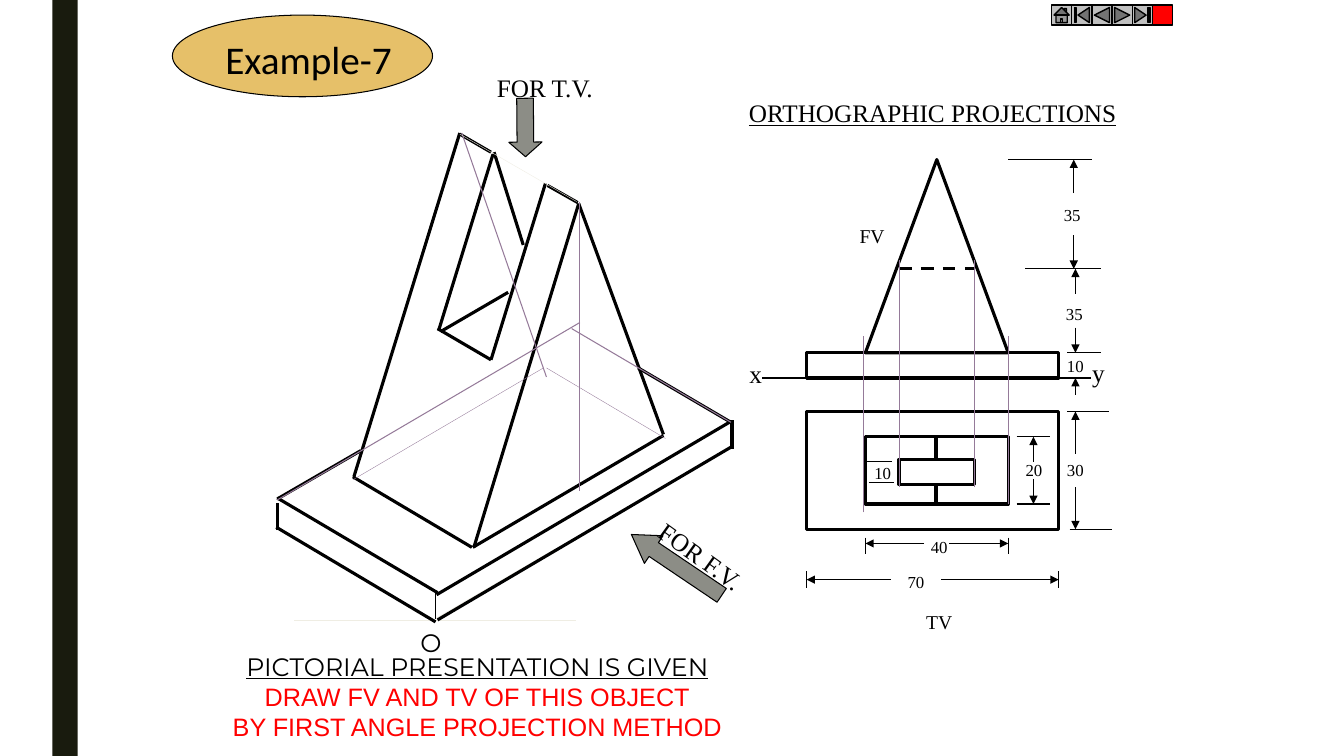
from lxml import etree
from pptx import Presentation
from pptx.dml.color import RGBColor
from pptx.enum.dml import MSO_LINE
from pptx.enum.shapes import MSO_CONNECTOR, MSO_SHAPE
from pptx.enum.text import MSO_ANCHOR, MSO_AUTO_SIZE, PP_ALIGN
from pptx.oxml.ns import qn
from pptx.util import Inches, Pt

RECT, OVAL = MSO_SHAPE.RECTANGLE, MSO_SHAPE.OVAL
PEAK, ARROW = MSO_SHAPE.ISOSCELES_TRIANGLE, MSO_SHAPE.LEFT_ARROW
NAV = [
    MSO_SHAPE.ACTION_BUTTON_HOME,
    MSO_SHAPE.ACTION_BUTTON_BEGINNING,
    MSO_SHAPE.ACTION_BUTTON_BACK_OR_PREVIOUS,
    MSO_SHAPE.ACTION_BUTTON_FORWARD_OR_NEXT,
    MSO_SHAPE.ACTION_BUTTON_END,
    MSO_SHAPE.ACTION_BUTTON_CUSTOM,
]
LEFT, MID = PP_ALIGN.LEFT, PP_ALIGN.CENTER
STRAIGHT, DASH = MSO_CONNECTOR.STRAIGHT, MSO_LINE.DASH
SERIF, SANS = "Times New Roman", "Montserrat"
BLACK, WHITE, RED, GREY = "000000", "FFFFFF", "FF0000", "8C8D86"
MAUVE, PALE = "957A99", "EFEDE3"
CELL = 1 / 12  # grid of the two views, in inches
FINE = 0.01    # grid of the pictorial view, in inches
BOLD, THIN, HAIR = 2.25, 0.75, 0.25


def color(hex_):
    return RGBColor.from_string(hex_)


def shape(slide, kind, box, fill, edge=THIN, cell=1, turn=0):
    item = slide.shapes.add_shape(kind, *(Inches(v * cell) for v in box))
    item.shadow.inherit = False
    item.fill.solid()
    item.fill.fore_color.rgb = color(fill)
    if edge:
        item.line.color.rgb = color(BLACK)
        item.line.width = Pt(edge)
    else:
        item.line.fill.background()
    item.rotation = turn
    return item


def line(slide, ends, width=THIN, hue=BLACK, cell=CELL, head=False, dash=None):
    item = slide.shapes.add_connector(STRAIGHT, *(Inches(v * cell) for v in ends))
    item.line.color.rgb = color(hue)
    item.line.width = Pt(width)
    if dash:
        item.line.dash_style = dash
    props = item._element.spPr
    if head:
        etree.SubElement(props.find(qn("a:ln")), qn("a:tailEnd"), type="triangle")
    etree.SubElement(props, qn("a:effectLst"))


def style(para, size, font, hue=BLACK, align=MID, under=False):
    para.alignment = align
    para.font.size = Pt(size)
    para.font.name = font
    para.font.color.rgb = color(hue)
    para.font.underline = under


def label(slide, text, box, size=18, font=SERIF, align=MID, under=False, turn=0):
    item = slide.shapes.add_textbox(*(Inches(v) for v in box))
    item.rotation = turn
    item.text_frame.word_wrap = False
    item.text_frame.text = text
    style(item.text_frame.paragraphs[0], size, font, align=align, under=under)
    return item.text_frame


def gauge(slide, at, low, gap, end, high, flat=False):
    """Two arrows that point outwards from the gap left for the number."""
    for start, stop in ((end, high), (gap, low)):
        ends = (start, at, stop, at) if flat else (at, start, at, stop)
        line(slide, ends, head=True)


def heading(slide):
    oval = shape(slide, OVAL, (1.71, 0.15, 2.58, 0.81), "E6C069")
    title = slide.shapes.title
    title.left, title.top, title.width, title.height = (
        Inches(v) for v in (2.07, 0.3, 1.98, 0.57))
    frame = title.text_frame
    frame.text = "Example-7"
    frame.word_wrap = False
    frame.auto_size = MSO_AUTO_SIZE.NONE
    frame.vertical_anchor = MSO_ANCHOR.MIDDLE
    style(frame.paragraphs[0], 28, "Calibri")
    oval._element.addnext(title._element)  # bring the title in front


def front(slide):
    shape(slide, RECT, (96, 42, 30, 3), WHITE, BOLD, CELL)
    shape(slide, PEAK, (103, 19, 17, 23), WHITE, BOLD, CELL)
    line(slide, (107, 32, 116, 32), BOLD, dash=DASH)
    for ends in ((90.7, 45, 129.8, 45), (120, 19, 130, 19),
                 (122, 32, 131, 32), (127, 42, 131, 42)):
        line(slide, ends)
    gauge(slide, 127.8, 19, 23, 28, 32)
    gauge(slide, 128, 32, 35, 39, 42)
    line(slide, (128, 47, 128, 45), head=True)
    label(slide, "x", (7.33, 3.51, 0.33, 0.4))
    label(slide, "y", (10.73, 3.5, 0.33, 0.4))
    label(slide, "FV", (8.42, 2.17, 0.46, 0.33), 14)
    for text, x, y in (("35", 10.45, 1.98), ("35", 10.47, 2.96), ("10", 10.48, 3.48)):
        label(slide, text, (x, y, 0.37, 0.3), 12)


def plan(slide):
    shape(slide, RECT, (96, 49, 30, 14), WHITE, BOLD, CELL)
    shape(slide, RECT, (103, 52, 17, 8), WHITE, BOLD, CELL)
    line(slide, (111.4, 52, 111.4, 60), BOLD)
    shape(slide, RECT, (107, 54.7, 9, 3), WHITE, BOLD, CELL)
    # Extension lines
    for x, y, wide in ((127, 49, 5), (127.3, 63, 5), (121, 52, 4),
                       (121, 60, 4), (103.2, 55, 3), (103.4, 57.5, 3)):
        line(slide, (x, y, x + wide, y))
    for x, y in ((120, 64), (103, 64), (96, 68), (126, 68)):
        line(slide, (x, y, x, y + 2))
    # Dimensions
    gauge(slide, 128, 49, 54, 58, 63)
    gauge(slide, 123, 52, 55, 57, 60)
    gauge(slide, 64.7, 103, 110, 113, 120, flat=True)
    gauge(slide, 69, 96, 106, 112, 126, flat=True)
    label(slide, "TV", (9.08, 6, 0.47, 0.33), 14)
    for text, x, y in (("30", 10.48, 4.51), ("20", 10.07, 4.51), ("10", 8.57, 4.54),
                       ("40", 9.13, 5.28), ("70", 8.9, 5.62)):
        label(slide, text, (x, y, 0.37, 0.3), 12)


def solid(slide):
    guides = [(430, 615, 550, 545), (430, 615, 317, 549), (292, 615, 571, 615)]
    base = [
        (726, 443, 434, 615), (275, 526, 275, 499), (358, 447, 275, 495),
        (725, 418, 433, 590), (275, 494, 434, 588), (633, 365, 725, 419),
        (274, 523, 432, 617), (726, 445, 726, 417),
    ]
    wedge = [
        (470, 543, 574, 202), (658, 431, 574, 202), (350, 473, 468, 543),
        (351, 473, 456, 132), (456, 133, 487, 151), (543, 184, 573, 201),
        (658, 432, 469, 543),
    ]
    slot = [
        (435, 328, 489, 153), (487, 357, 541, 182), (434, 326, 487, 357),
        (504, 290, 437, 329), (519, 243, 490, 151),
    ]
    hidden = [(542, 374, 458, 132), (575, 320, 275, 496), (567, 326, 725, 419)]
    faint = [(574, 200, 574, 487), (539, 365, 350, 476), (542, 365, 660, 435)]
    for group, width, hue in (
        (guides, 0.5, PALE),
        (base + wedge + slot, BOLD, BLACK),
        ([(432, 614, 432, 586)], THIN, BLACK),
        (hidden, THIN, MAUVE),
        (faint, HAIR, MAUVE),
        ([(456, 133, 572, 200)], HAIR, PALE),
    ):
        for ends in group:
            line(slide, ends, width, hue, FINE)
    label(slide, "O", (4.07, 6.17, 0.41, 0.4), font=SANS)


def rays(slide):
    for x, low, high in ((120, 60, 40), (102.8, 61, 40), (107, 58, 31), (116, 58, 31)):
        line(slide, (x, low, x, high), THIN, MAUVE)


def sights(slide):
    for text, box, turn, tip, place, tilt in (
        ("FOR T.V.", (4.92, 1.1, 0.58, 0.33), 269.5, 0.44, (4.83, 0.67, 1.16, 0.4), 0),
        ("FOR F.V.", (6.17, 5.44, 1.08, 0.33), 34, 0.81, (6.38, 5.32, 1.15, 0.4), 35.6),
    ):
        arrow = shape(slide, ARROW, box, GREY, turn=turn)
        arrow.adjustments[1] = tip
        label(slide, text, place, align=LEFT, turn=tilt)


def notes(slide):
    frame = label(slide, "PICTORIAL PRESENTATION IS GIVEN", (2.07, 6.41, 5.33, 1),
                  font=SANS, under=True)
    for text in ("DRAW FV AND TV OF THIS OBJECT", "BY FIRST ANGLE PROJECTION METHOD"):
        para = frame.add_paragraph()
        para.text = text
        style(para, 18, "Arial", RED)
    label(slide, "ORTHOGRAPHIC PROJECTIONS", (7.33, 0.92, 3.88, 0.4),
          align=LEFT, under=True)


def buttons(slide):
    side = 0.2
    for i, kind in enumerate(NAV):
        fill = RED if kind == NAV[-1] else "C0C0C0"
        shape(slide, kind, (10.43 + i * side, 0.05, side, side), fill, 1)


def main():
    deck = Presentation()
    deck.slide_width, deck.slide_height = Inches(13.33), Inches(7.5)
    slide = deck.slides.add_slide(deck.slide_layouts[5])
    shape(slide, RECT, (0.52, 0, 0.25, 7.5), "191B0E", 0)
    for part in (heading, front, plan, solid, rays, sights, notes, buttons):
        part(slide)
    deck.save("out.pptx")


if __name__ == "__main__":
    main()
